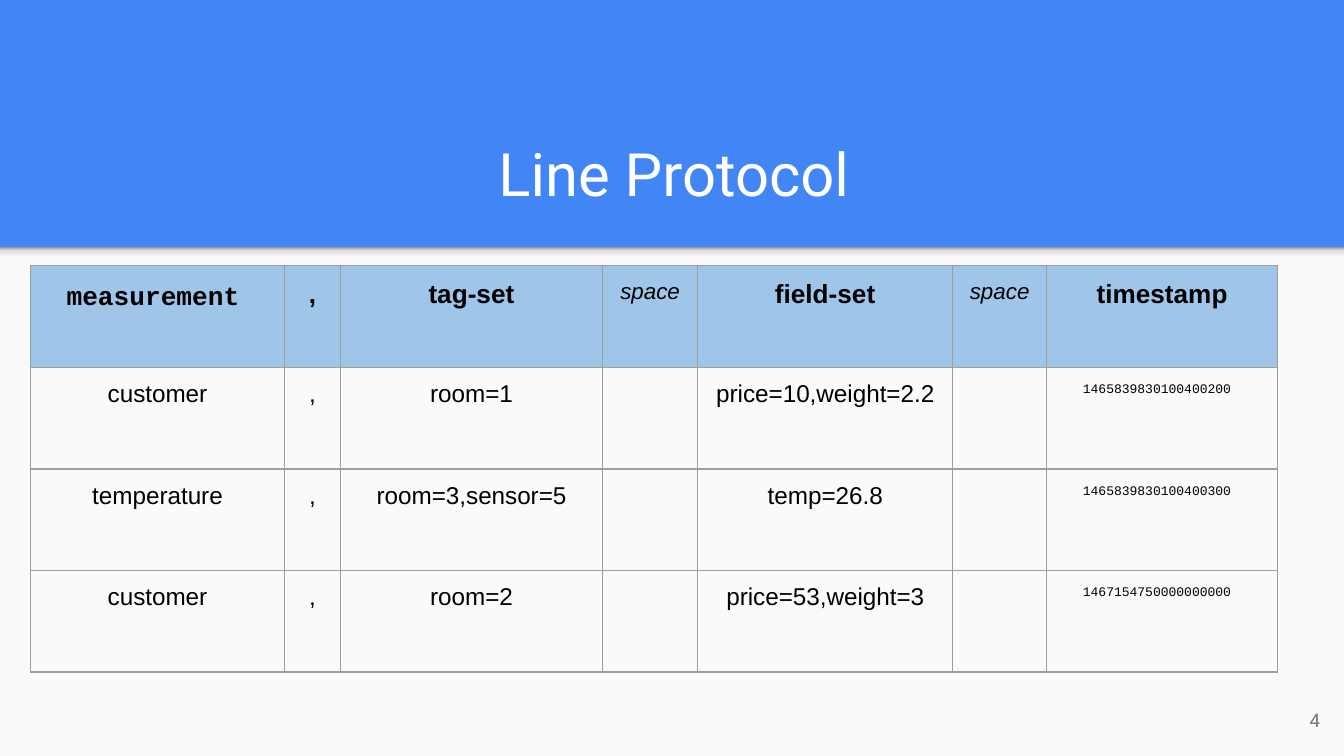
import copy

import pptx
import pptx.dml.color
import pptx.enum.shapes
import pptx.enum.text
import pptx.oxml
import pptx.oxml.ns
import pptx.util

Pt = pptx.util.Pt
ALIGN = pptx.enum.text.PP_ALIGN
ANCHOR = pptx.enum.text.MSO_ANCHOR
PAGE_WIDTH, PAGE_HEIGHT = 720, 405
PANEL_TOP = 132.5


def color(value):
    return pptx.dml.color.RGBColor.from_string(value)


def apply(target, values):
    for name, value in values.items():
        setattr(target, name, value)


class ProtocolSlide:
    ink = "000000"
    rule = "9E9E9E"
    margins = dict.fromkeys(("margin_left", "margin_top", "margin_right", "margin_bottom"), Pt(7.2))
    centred = {"alignment": ALIGN.CENTER}
    indented = {"alignment": ALIGN.LEFT, "line_spacing": 1.15, "space_after": Pt(12)}

    def __init__(self, deck, background):
        self.slide = deck.slides.add_slide(deck.slide_layouts[6])
        self.slide.background.fill.solid()
        self.slide.background.fill.fore_color.rgb = color(background)

    def add_text(self, frame, text, size, font="Arial", ink=ink, layout=centred, indent=0, **weight):
        paragraph = frame.paragraphs[0]
        apply(paragraph, layout)
        if indent:
            properties = paragraph._p.get_or_add_pPr()
            properties.set("marL", str(Pt(indent)))
            properties.set("indent", "0")
        run = paragraph.add_run()
        run.text = text
        apply(run.font, {"size": Pt(size), "name": font, **weight})
        run.font.color.rgb = color(ink)

    def textbox(self, box, text, anchor, **style):
        frame = self.slide.shapes.add_textbox(*map(Pt, box)).text_frame
        apply(frame, {"word_wrap": True, "vertical_anchor": anchor, **self.margins})
        self.add_text(frame, text, **style)

    def rectangle(self, box):
        shape = self.slide.shapes.add_shape(pptx.enum.shapes.MSO_SHAPE.RECTANGLE, *map(Pt, box))
        shape.shadow.inherit = False
        shape.line.fill.background()
        return shape

    def panel(self, box, fill):
        area = self.rectangle(box)
        area.fill.solid()
        area.fill.fore_color.rgb = color(fill)

    def gradient(self, box, stops, angle):
        band = self.rectangle(box)
        band.fill.gradient()
        band.fill.gradient_angle = angle
        stop_list = band._element.spPr.find(".//" + pptx.oxml.ns.qn("a:gsLst"))
        while len(stop_list) < len(stops):
            stop_list.append(copy.deepcopy(stop_list[0]))
        for stop, (position, value) in zip(band.fill.gradient_stops, stops):
            stop.position = position
            stop.color.rgb = color(value)

    def border(self, cell):
        properties = cell._tc.get_or_add_tcPr()
        for index, side in enumerate(("lnL", "lnR", "lnT", "lnB")):
            line = pptx.oxml.parse_xml(
                f'<a:{side} {pptx.oxml.ns.nsdecls("a")} w="{Pt(0.75)}">'
                f'<a:solidFill><a:srgbClr val="{self.rule}"/></a:solidFill></a:{side}>')
            properties.insert(index, line)

    def table(self, left, top, widths, row_height, rows, styles, header_fill):
        box = (left, top, sum(widths), row_height * len(rows))
        grid = self.slide.shapes.add_table(len(rows), len(widths), *map(Pt, box)).table
        apply(grid, {"first_row": False, "horz_banding": False})
        for column, width in zip(grid.columns, widths):
            column.width = Pt(width)
        for index, (texts, row_styles) in enumerate(zip(rows, styles)):
            grid.rows[index].height = Pt(row_height)
            for cell, text, style in zip(grid.rows[index].cells, texts, row_styles):
                apply(cell, self.margins)
                if index == 0:
                    cell.fill.solid()
                    cell.fill.fore_color.rgb = color(header_fill)
                else:
                    cell.fill.background()
                self.border(cell)
                if text:
                    self.add_text(cell.text_frame, text, **style)


def main():
    deck = pptx.Presentation()
    apply(deck, {"slide_width": Pt(PAGE_WIDTH), "slide_height": Pt(PAGE_HEIGHT)})
    page = ProtocolSlide(deck, "4285F4")

    page.panel((0, PANEL_TOP, PAGE_WIDTH, PAGE_HEIGHT - PANEL_TOP), "FAFAFA")
    shade = [(0, "F9F9F9"), (0.36, "F9F9F9"), (0.8, "DEDEDE"), (1, "999999")]
    page.gradient((0, PANEL_TOP, PAGE_WIDTH, 8.6), shade, 90)
    page.textbox((37.4, 58.3, 647.3, 60.5), "Line Protocol", ANCHOR.BOTTOM,
                 size=32, font="Roboto", ink="FFFFFF")

    code = {"font": "Courier New", "layout": page.indented, "indent": 12.2}
    heading = {"size": 14, "bold": True}
    separator = {"size": 12, "italic": True}
    value = {"size": 13}
    header_styles = [{**heading, **code}, heading, heading, separator,
                     heading, separator, heading]
    point_styles = [value] * 6 + [{"size": 7, **code}]
    points = [
        ("customer", "room=1", "price=10,weight=2.2", "1465839830100400200"),
        ("temperature", "room=3,sensor=5", "temp=26.8", "1465839830100400300"),
        ("customer", "room=2", "price=53,weight=3", "1467154750000000000"),
    ]
    rows = [("measurement", ",", "tag-set", "space", "field-set", "space", "timestamp")]
    rows += [(measurement, ",", tags, "", fields, "", timestamp)
             for measurement, tags, fields, timestamp in points]
    page.table(16.3, 142.4, [136.1, 30, 140.4, 51, 136.6, 50.4, 123.7], 54.4, rows,
               [header_styles] + [point_styles] * len(points), "9FC5E8")

    page.textbox((671, 370, 43.2, 31), "4", ANCHOR.MIDDLE, size=10, font="Roboto",
                 ink="737373", layout={"alignment": ALIGN.RIGHT})
    deck.save("out.pptx")


if __name__ == "__main__":
    main()
